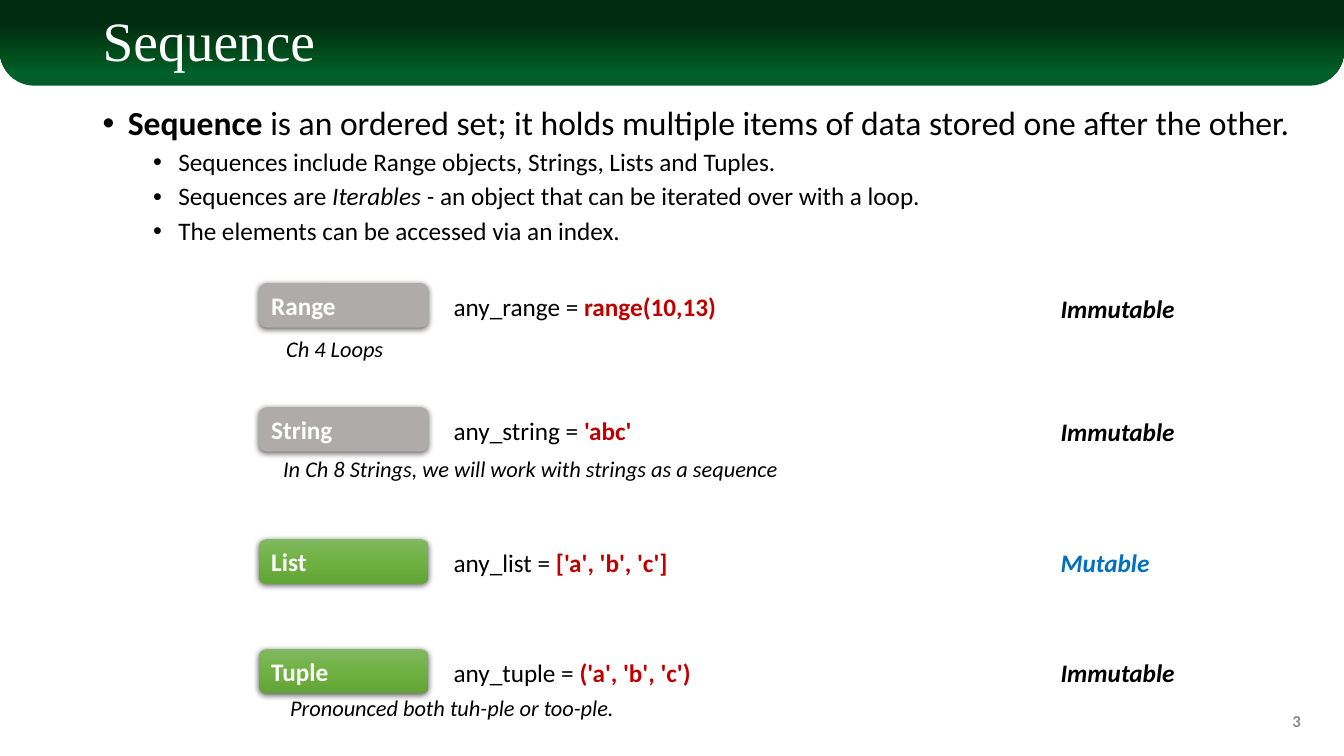
from lxml import etree
from pptx import Presentation
from pptx.dml.color import RGBColor
from pptx.enum.shapes import MSO_SHAPE
from pptx.enum.text import MSO_ANCHOR, PP_ALIGN
from pptx.oxml.ns import qn
from pptx.util import Inches, Pt

ROUND, ROUND_TOP = MSO_SHAPE.ROUNDED_RECTANGLE, MSO_SHAPE.ROUND_2_SAME_RECTANGLE
TOP, MIDDLE = MSO_ANCHOR.TOP, MSO_ANCHOR.MIDDLE
LEFT, RIGHT = PP_ALIGN.LEFT, PP_ALIGN.RIGHT

BLACK = RGBColor(0x00, 0x00, 0x00)
WHITE = RGBColor(0xFF, 0xFF, 0xFF)
GRAY = RGBColor(0xAF, 0xAB, 0xAB)
PAGE_GRAY = RGBColor(0x8C, 0x8C, 0x8C)
RED = RGBColor(0xC0, 0x00, 0x00)
BLUE = RGBColor(0x00, 0x70, 0xC0)
HEADER_STOPS = [(0, RGBColor(0x00, 0x5C, 0x2B)), (15, RGBColor(0x00, 0x60, 0x2B)),
                (32, RGBColor(0x00, 0x50, 0x1D)), (72, RGBColor(0x00, 0x2D, 0x10))]
GREEN_STOPS = [(0, RGBColor(0x81, 0xB8, 0x61)), (50, RGBColor(0x6F, 0xB2, 0x42)),
               (100, RGBColor(0x62, 0xA3, 0x36))]

WIDTH, HEIGHT = 13.33, 7.5
ROW_LEFT, ROW_WIDTH, ROW_HEIGHT = 2.57, 9.2, 0.44

BULLETS = [
    (0, [("Sequence", True, False),
         (" is an ordered set; it holds multiple items of data stored one after the other.",
          False, False)]),
    (1, [("Sequences include Range objects, Strings, Lists and Tuples.", False, False)]),
    (1, [("Sequences are ", False, False), ("Iterables - ", False, True),
         ("an object that can be iterated over with a loop.", False, False)]),
    (1, [("The elements can be accessed via an index.", False, False)]),
]
ROWS = [
    (2.81, "Range", GRAY, "any_range = ", "range(10,13)", 2.82, "Immutable", 0.05),
    (4.04, "String", GRAY, "any_string = ", "'abc'", 1.99, "Immutable", 0.04),
    (5.35, "List", GREEN_STOPS, "any_list = ", "['a', 'b', 'c']", 2.74, "Mutable", 0.03),
    (6.44, "Tuple", GREEN_STOPS, "any_tuple = ", "('a', 'b', 'c')", 2.59, "Immutable", 0.03),
]
NOTES = [
    (2.74, 3.28, 4.72, "Ch 4 Loops"),
    (2.71, 4.47, 5.31, "In Ch 8 Strings, we will work with strings as a sequence"),
    (2.78, 6.84, 3.86, "Pronounced both tuh-ple or too-ple."),
]


def add_run(p, text, size, color=BLACK, bold=False, italic=False, font="Calibri"):
    r = p.add_run()
    r.text = text
    r.font.name, r.font.size = font, Pt(size)
    r.font.bold, r.font.italic = bold, italic
    r.font.color.rgb = color


def add_text(s, x, y, w, h, anchor=TOP, align=LEFT, wrap=True):
    tf = s.shapes.add_textbox(Inches(x), Inches(y), Inches(w), Inches(h)).text_frame
    tf.word_wrap, tf.vertical_anchor = wrap, anchor
    tf.paragraphs[0].alignment = align
    return tf


def add_block(s, kind, x, y, w, h, fill):
    sp = s.shapes.add_shape(kind, Inches(x), Inches(y), Inches(w), Inches(h))
    sp.shadow.inherit = False
    sp.line.fill.background()
    if isinstance(fill, RGBColor):
        sp.fill.solid()
        sp.fill.fore_color.rgb = fill
        return sp
    sp.fill.gradient()
    sp.fill.gradient_angle = 270
    stops = sp.element.spPr.find(qn("a:gradFill")).find(qn("a:gsLst"))
    for old in list(stops):
        stops.remove(old)
    for pos, color in fill:
        gs = etree.SubElement(stops, qn("a:gs"), pos=str(pos * 1000))
        etree.SubElement(gs, qn("a:srgbClr"), val=str(color))
    return sp


def add_shadow(sp):
    effects = sp.element.spPr.find(qn("a:effectLst"))
    shadow = etree.SubElement(effects, qn("a:outerShdw"), blurRad=str(Pt(4.5)),
                              dist=str(Pt(1.5)), dir="5400000", rotWithShape="0")
    color = etree.SubElement(shadow, qn("a:srgbClr"), val=str(BLACK))
    etree.SubElement(color, qn("a:alpha"), val="63000")


def header(s, x, y, w, h):
    sp = add_block(s, ROUND_TOP, x, y, w, h, HEADER_STOPS)
    sp.adjustments[0], sp.adjustments[1] = 0.4, 0
    sp.element.spPr.find(qn("a:xfrm")).set("flipV", "1")
    tf = add_text(s, x + 0.92, y + 0.13, 11.5, 0.61, MIDDLE)
    p = tf.paragraphs[0]
    p.line_spacing = 0.9
    add_run(p, "Sequence", 39.6, WHITE, font="Times New Roman")


def bullet_list(s, x, y, w, h):
    tf = add_text(s, x, y, w, h)
    for i, (level, runs) in enumerate(BULLETS):
        p = tf.paragraphs[0] if i == 0 else tf.add_paragraph()
        p.level, p.line_spacing = level, 0.9
        p.space_before = Pt(5 if i else 0)
        pPr = p._p.get_or_add_pPr()
        pPr.set("marL", str(Inches(0.25 + 0.5 * level)))
        pPr.set("indent", str(Inches(-0.25)))
        etree.SubElement(pPr, qn("a:buFont"), typeface="Arial")
        etree.SubElement(pPr, qn("a:buChar"), char="•")
        for text, bold, italic in runs:
            add_run(p, text, 18 if level else 24, BLACK, bold, italic)


def sequence_row(s, x, y, w, h, name, fill, target, value, code_width, status, drop):
    sp = add_block(s, ROUND, x, y, 1.68, h, fill)
    add_shadow(sp)
    sp.text_frame.vertical_anchor = MIDDLE
    p = sp.text_frame.paragraphs[0]
    p.alignment = LEFT
    add_run(p, name, 18, WHITE, bold=True)

    p = add_text(s, x + 1.83, y + 0.03, code_width, 0.4, wrap=False).paragraphs[0]
    add_run(p, target, 18)
    add_run(p, value, 18, RED, bold=True)

    mutable = status == "Mutable"
    status_width = 1.09 if mutable else 1.35
    p = add_text(s, x + w - 1.35, y + drop, status_width, 0.4, wrap=False).paragraphs[0]
    add_run(p, status, 18, BLUE if mutable else BLACK, bold=True, italic=True)


def note(s, x, y, w, text):
    add_run(add_text(s, x, y, w, 0.37).paragraphs[0], text, 16, italic=True)


def page_number(s, x, y, w, h):
    add_run(add_text(s, x, y, w, h, MIDDLE, RIGHT).paragraphs[0], "3", 12, PAGE_GRAY, bold=True)


def main():
    prs = Presentation()
    prs.slide_width, prs.slide_height = Inches(WIDTH), Inches(HEIGHT)
    s = prs.slides.add_slide(prs.slide_layouts[6])
    header(s, 0, 0, WIDTH, 0.85)
    bullet_list(s, 0.92, 1.01, 12.24, 5.67)
    for top, *content in ROWS:
        sequence_row(s, ROW_LEFT, top, ROW_WIDTH, ROW_HEIGHT, *content)
    for x, y, w, text in NOTES:
        note(s, x, y, w, text)
    page_number(s, 10, 6.95, 3, 0.4)
    prs.save("out.pptx")


if __name__ == "__main__":
    main()
